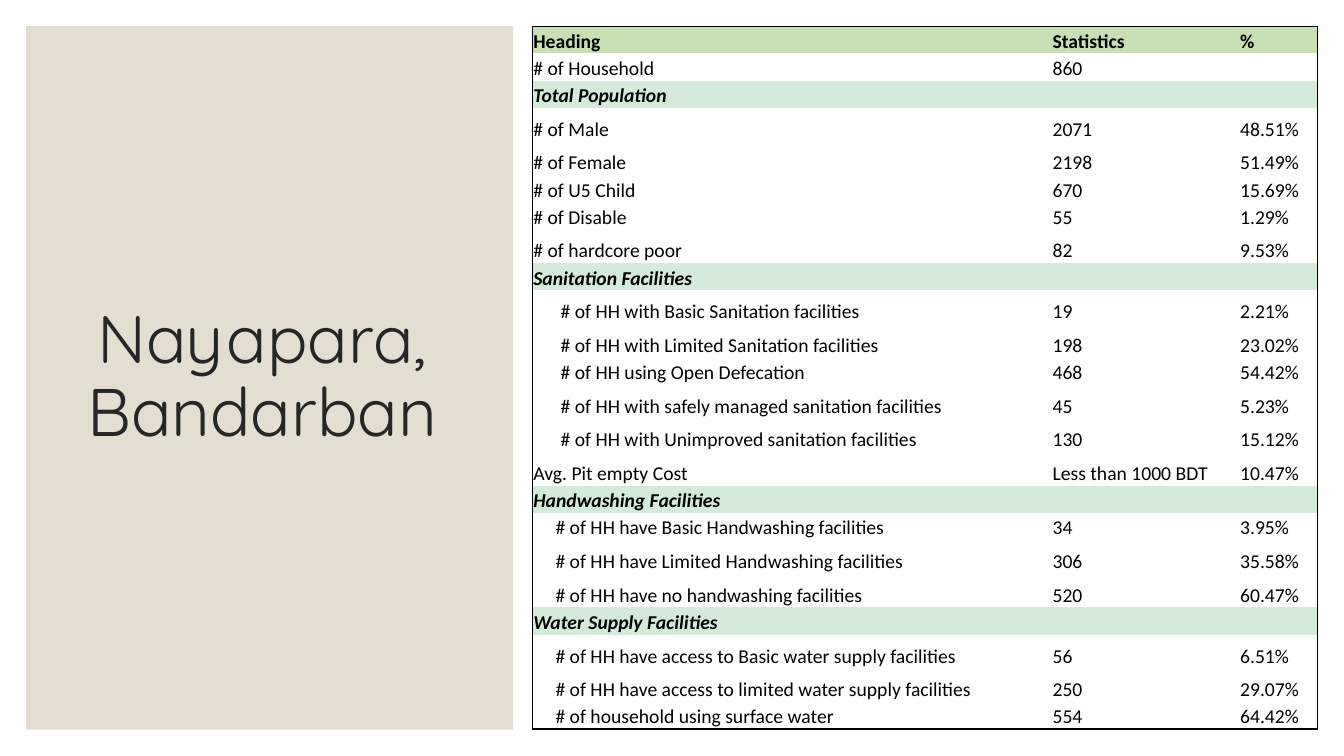
from dataclasses import dataclass

from lxml import etree
from pptx import Presentation
from pptx import util as u
from pptx.dml import color
from pptx.enum import shapes, text
from pptx.oxml import ns


@dataclass(frozen=True)
class Theme:
    white: str = "FFFFFF"
    panel: str = "E3DED1"
    title: str = "262626"
    ink: str = "000000"
    header: str = "C6E0B4"
    section: str = "D4EBDB"
    title_font: str = "Quicksand"
    table_font: str = "Calibri"
    title_size: int = 48
    table_size: int = 14
    border_width: int = 1


@dataclass(frozen=True)
class Panel:
    left: float
    top: float
    width: float
    height: float
    fill: str


@dataclass(frozen=True)
class Row:
    label: str
    value: str = ""
    share: str = ""
    tall: bool = False
    indent: float = 0
    fill: str = ""
    bold: bool = False
    italic: bool = False

    @property
    def is_section(self) -> bool:
        return self.italic


THEME = Theme()
SHORT_ROW = 0.27
TABLE_HEIGHT = 6.98
COLUMN_WIDTHS = (5.15, 1.86, 0.78)
SANITATION_INDENT = 0.27
FACILITY_INDENT = 0.22

PANELS = (
    Panel(0, 0, 13.33, 7.5, THEME.white),
    Panel(0.26, 0.26, 4.83, 6.98, THEME.panel),
)


def section(label: str) -> Row:
    return Row(label, fill=THEME.section, bold=True, italic=True)


def sanitation(label: str, value: str, share: str, tall: bool = True) -> Row:
    return Row(label, value, share, tall, SANITATION_INDENT)


def facility(label: str, value: str, share: str, tall: bool = True) -> Row:
    return Row(label, value, share, tall, FACILITY_INDENT)


ROWS = (
    Row("Heading", "Statistics", "%", fill=THEME.header, bold=True),
    Row("# of Household", "860"),
    section("Total Population"),
    Row("# of Male", "2071", "48.51%", tall=True),
    Row("# of Female", "2198", "51.49%", tall=True),
    Row("# of U5 Child", "670", "15.69%"),
    Row("# of Disable", "55", "1.29%"),
    Row("# of hardcore poor", "82", "9.53%", tall=True),
    section("Sanitation Facilities"),
    sanitation("# of HH with Basic Sanitation facilities", "19", "2.21%"),
    sanitation("# of HH with Limited Sanitation facilities", "198", "23.02%"),
    sanitation("# of HH using Open Defecation", "468", "54.42%", tall=False),
    sanitation("# of HH with safely managed sanitation facilities", "45", "5.23%"),
    sanitation("# of HH with Unimproved sanitation facilities", "130", "15.12%"),
    Row("Avg. Pit empty Cost", "Less than 1000 BDT", "10.47%", tall=True),
    section("Handwashing Facilities"),
    facility("# of HH have Basic Handwashing facilities", "34", "3.95%", tall=False),
    facility("# of HH have Limited Handwashing facilities", "306", "35.58%"),
    facility("# of HH have no handwashing facilities", "520", "60.47%"),
    section("Water Supply Facilities"),
    facility("# of HH have access to Basic water supply facilities", "56", "6.51%"),
    facility("# of HH have access to limited water supply facilities", "250", "29.07%"),
    facility("# of household using surface water", "554", "64.42%", tall=False),
)


def rgb(value: str) -> color.RGBColor:
    return color.RGBColor.from_string(value)


def draw_panel(page, panel: Panel) -> None:
    box = page.shapes.add_shape(
        shapes.MSO_SHAPE.RECTANGLE,
        u.Inches(panel.left), u.Inches(panel.top),
        u.Inches(panel.width), u.Inches(panel.height),
    )
    box.shadow.inherit = False
    box.fill.solid()
    box.fill.fore_color.rgb = rgb(panel.fill)
    box.line.fill.background()


def draw_title(page, title: str) -> None:
    box = page.shapes.add_textbox(
        u.Inches(0.45), u.Inches(0.61), u.Inches(4.3), u.Inches(6.29)
    )
    frame = box.text_frame
    frame.word_wrap = True
    frame.vertical_anchor = text.MSO_ANCHOR.MIDDLE
    para = frame.paragraphs[0]
    para.text = title
    para.alignment = text.PP_ALIGN.CENTER
    para.line_spacing = 0.9
    para.font.name = THEME.title_font
    para.font.size = u.Pt(THEME.title_size)
    para.font.color.rgb = rgb(THEME.title)


def set_borders(cell, edges: dict[str, bool]) -> None:
    properties = cell._tc.get_or_add_tcPr()
    for position, (edge, visible) in enumerate(edges.items()):
        line = etree.Element(ns.qn(f"a:ln{edge}"), w=str(u.Pt(THEME.border_width)))
        if visible:
            fill = etree.SubElement(line, ns.qn("a:solidFill"))
            etree.SubElement(fill, ns.qn("a:srgbClr"), val=THEME.ink)
        else:
            etree.SubElement(line, ns.qn("a:noFill"))
        properties.insert(position, line)


def style_cell(cell, row: Row, content: str, indent: float) -> None:
    cell.vertical_anchor = text.MSO_ANCHOR.BOTTOM
    cell.margin_left = u.Inches(0.01 + indent)
    cell.margin_right = cell.margin_top = u.Inches(0.01)
    cell.margin_bottom = 0
    if row.fill:
        cell.fill.solid()
        cell.fill.fore_color.rgb = rgb(row.fill)
    else:
        cell.fill.background()
    para = cell.text_frame.paragraphs[0]
    para.text = content
    para.font.name = THEME.table_font
    para.font.size = u.Pt(THEME.table_size)
    para.font.bold = row.bold
    para.font.italic = row.italic
    para.font.color.rgb = rgb(THEME.ink)
    if not content:
        etree.SubElement(para._p, ns.qn("a:endParaRPr"), sz=str(THEME.table_size * 100))


def draw_table(page) -> None:
    table = page.shapes.add_table(
        len(ROWS), len(COLUMN_WIDTHS), u.Inches(5.28), u.Inches(0.26),
        u.Inches(sum(COLUMN_WIDTHS)), u.Inches(TABLE_HEIGHT),
    ).table
    table.first_row = table.horz_banding = False
    for column, width in zip(table.columns, COLUMN_WIDTHS):
        column.width = u.Inches(width)
    tall_count = sum(row.tall for row in ROWS)
    tall_row = (TABLE_HEIGHT - SHORT_ROW * (len(ROWS) - tall_count)) / tall_count
    last_row, last_column = len(ROWS) - 1, len(COLUMN_WIDTHS) - 1
    for index, row in enumerate(ROWS):
        table.rows[index].height = u.Inches(tall_row if row.tall else SHORT_ROW)
        for column, content in enumerate((row.label, row.value, row.share)):
            cell = table.cell(index, column)
            style_cell(cell, row, content, row.indent if column == 0 else 0)
            set_borders(cell, {
                "L": column == 0,
                "R": column == last_column or (row.is_section and column == 0),
                "T": index == 0,
                "B": index == last_row,
            })
        if row.is_section:
            table.cell(index, 0).merge(table.cell(index, last_column))


def main() -> None:
    deck = Presentation()
    deck.slide_width, deck.slide_height = u.Inches(13.33), u.Inches(7.5)
    page = deck.slides.add_slide(deck.slide_layouts[6])
    for panel in PANELS:
        draw_panel(page, panel)
    draw_title(page, "Nayapara, Bandarban")
    draw_table(page)
    deck.save("out.pptx")


if __name__ == "__main__":
    main()
